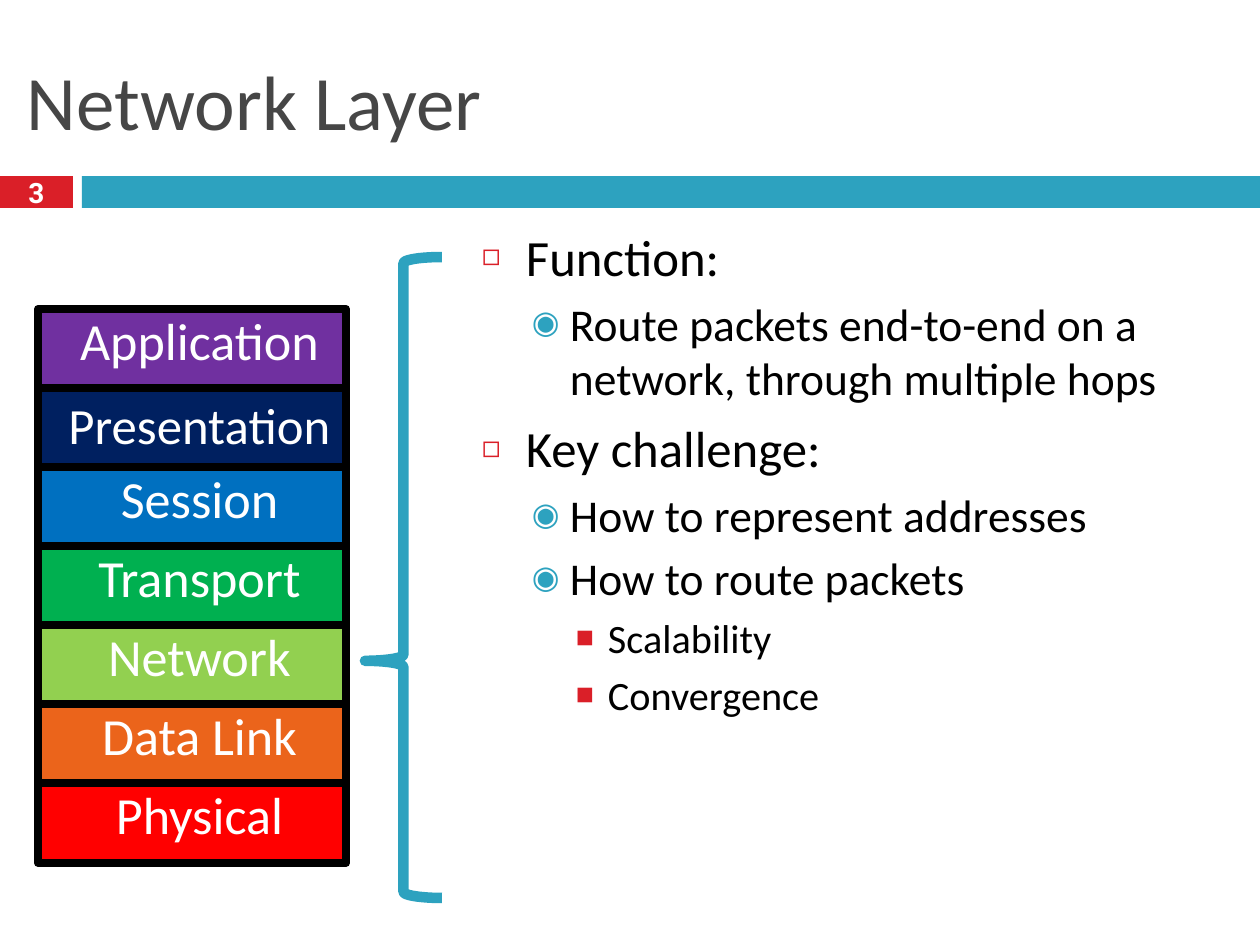
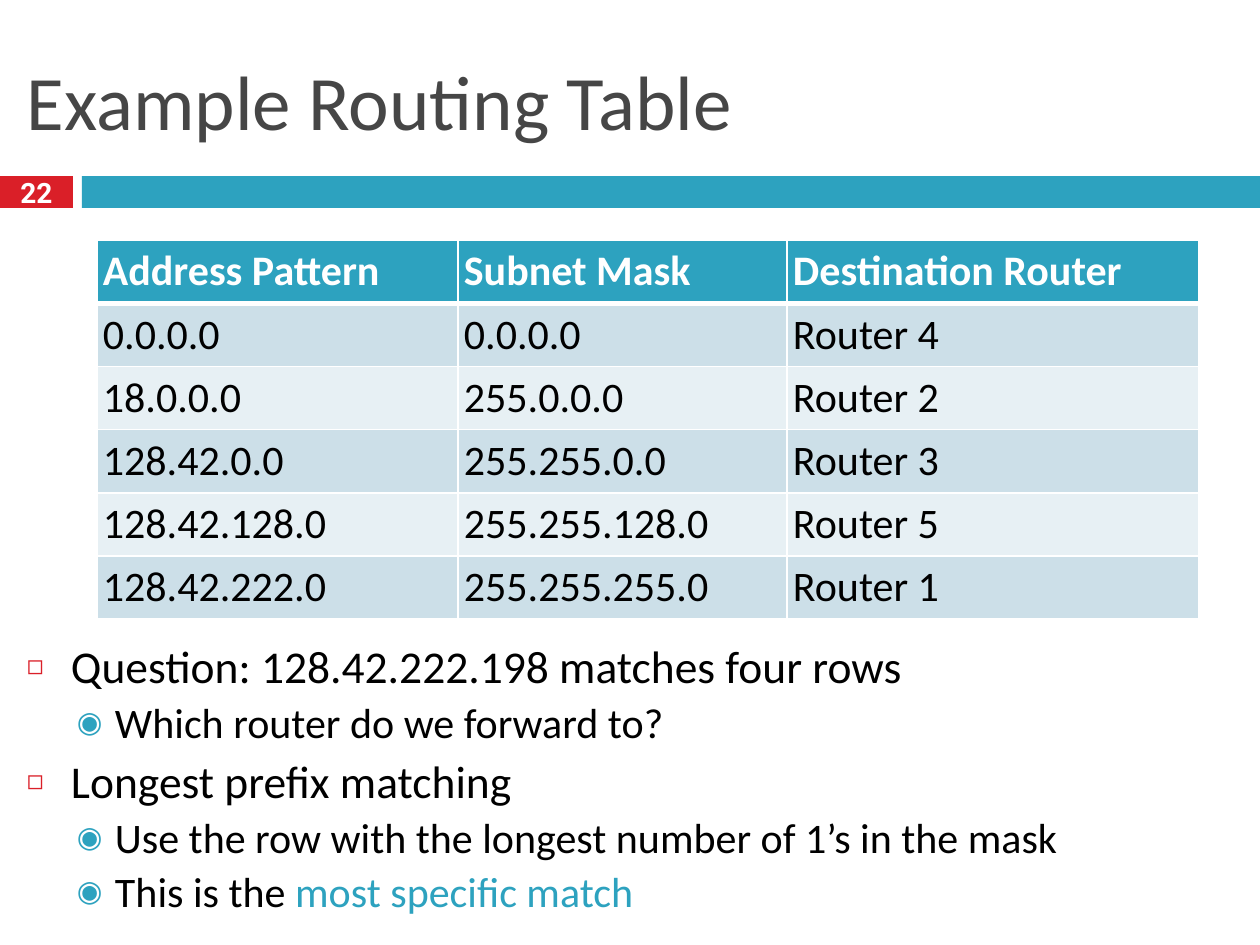
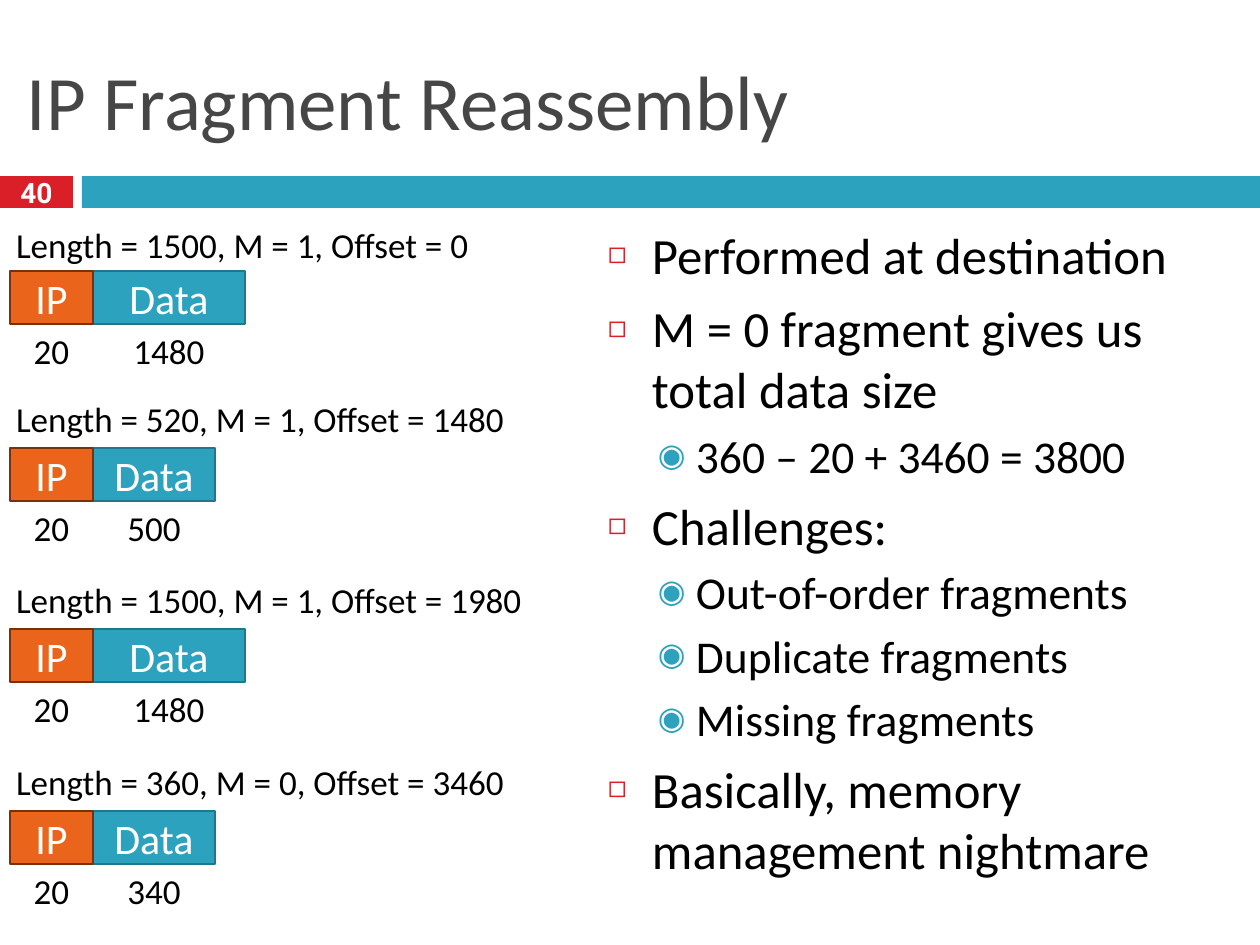
from dataclasses import dataclass

from lxml.etree import SubElement
from pptx import Presentation
from pptx.dml.color import RGBColor
from pptx.enum.shapes import MSO_SHAPE as SHAPE
from pptx.enum.text import MSO_ANCHOR as ANCHOR, MSO_AUTO_SIZE as AUTO, PP_ALIGN as ALIGN
from pptx.oxml.ns import qn
from pptx.util import Pt

PX = 7257


@dataclass(frozen=True)
class Theme:
    font: str = "Calibri"
    number_font: str = "Roboto"
    heading: str = "464646"
    text: str = "000000"
    light: str = "FFFFFF"
    teal: str = "2DA2BF"
    teal_edge: str = "21768B"
    red: str = "DA1F28"
    orange: str = "EB641B"
    orange_edge: str = "78310B"
    row_dark: str = "CCDFE8"
    row_light: str = "E7F0F4"
    title_size: int = 44
    number_size: int = 16
    list_sizes: tuple = (29, 26, 23)
    compact_sizes: tuple = (26, 24)
    layer_size: float = 29.8
    cell_size: int = 24
    caption_size: int = 20


theme = Theme()


def write(frame, text, *, size, color=theme.text, font=theme.font, bold=False,
          align=ALIGN.LEFT, anchor=ANCHOR.TOP, inset=6, indent=0, before=0, spacing=1.0):
    frame.word_wrap = True
    frame.auto_size = AUTO.NONE
    frame.vertical_anchor = anchor
    frame.margin_left = frame.margin_right = 6 * PX
    frame.margin_top = frame.margin_bottom = inset * PX
    paragraph = frame.paragraphs[-1]
    if paragraph.runs:
        paragraph = frame.add_paragraph()
    paragraph.alignment = align
    paragraph.space_before = Pt(before)
    paragraph.line_spacing = spacing
    if indent:
        paragraph._p.get_or_add_pPr().set("indent", str(indent * PX))
    for position, part in enumerate(text.split("*")):
        if part:
            run = paragraph.add_run()
            run.text = part
            run.font.size = Pt(size)
            run.font.name = font
            run.font.bold = bold
            run.font.color.rgb = RGBColor.from_string(theme.teal if position % 2 else color)
    return paragraph


def block(slide, at, fill=None, line=None, weight=0, preset=SHAPE.RECTANGLE):
    shape = slide.shapes.add_shape(preset, *(length * PX for length in at))
    shape.shadow.inherit = False
    if fill:
        shape.fill.solid()
        shape.fill.fore_color.rgb = RGBColor.from_string(fill)
    else:
        shape.fill.background()
    if line:
        shape.line.color.rgb = RGBColor.from_string(line)
        shape.line.width = Pt(weight)
    else:
        shape.line.fill.background()
    return shape


prs = Presentation()
prs.slide_width, prs.slide_height = 1260 * PX, 945 * PX
layout = prs.slide_layouts[1]

for holder in list(layout.placeholders):
    if holder.placeholder_format.idx >= 10:
        holder.element.getparent().remove(holder.element)
heading = layout.placeholders[0]
heading.left, heading.top, heading.width, heading.height = 21 * PX, 32 * PX, 1218 * PX, 136 * PX

bullet_styles = [
    ("◻", theme.red, 60, 44, 44, 7),
    ("◉", theme.teal, 70, 88, 38, 5),
    ("■", theme.red, 75, 126, 32, 5),
]

topics = [
    ("3", "Network Layer", (476, 220, 764, 703), theme.list_sizes, 1.0, [
        (0, "Function:"),
        (1, "Route packets end-to-end on a network, through multiple hops"),
        (0, "Key challenge:"),
        (1, "How to represent addresses"),
        (1, "How to route packets"),
        (2, "Scalability"),
        (2, "Convergence"),
    ]),
    ("22", "Example Routing Table", (21, 638, 1239, 307), theme.compact_sizes, 0.9, [
        (0, "Question: 128.42.222.198 matches four rows"),
        (1, "Which router do we forward to?"),
        (0, "Longest prefix matching"),
        (1, "Use the row with the longest number of 1’s in the mask"),
        (1, "This is the *most specific match*"),
    ]),
    ("40", "IP Fragment Reassembly", (602, 218, 638, 705), theme.list_sizes, 1.0, [
        (0, "Performed at destination"),
        (0, "M = 0 fragment gives us total data size"),
        (1, "360 – 20 + 3460 = 3800"),
        (0, "Challenges:"),
        (1, "Out-of-order fragments"),
        (1, "Duplicate fragments"),
        (1, "Missing fragments"),
        (0, "Basically, memory management nightmare"),
    ]),
]

slides = []
for number, title, area, sizes, spacing, points in topics:
    slide = prs.slides.add_slide(layout)
    if not slides:
        bands = [block(slide, (0, 176, 73, 32), theme.red),
                 block(slide, (82, 176, 1178, 32), theme.teal)]
        for band in bands:
            layout.shapes.element.insert(2, band.element)
    slides.append(slide)

    write(slide.shapes.title.text_frame, title, size=theme.title_size,
          color=theme.heading, anchor=ANCHOR.MIDDLE)
    page = slide.shapes.add_textbox(0, 173 * PX, 73 * PX, 44 * PX)
    write(page.text_frame, number, size=theme.number_size, color=theme.light,
          font=theme.number_font, bold=True, align=ALIGN.CENTER,
          anchor=ANCHOR.MIDDLE, spacing=0.8)

    body = slide.placeholders[1]
    body.left, body.top, body.width, body.height = (length * PX for length in area)
    for level, point in points:
        mark, mark_color, percent, margin, hanging, before = bullet_styles[level]
        paragraph = write(body.text_frame, point, size=sizes[level], indent=-hanging,
                          before=before, spacing=spacing)
        paragraph.level = level
        properties = paragraph._p.get_or_add_pPr()
        properties.set("marL", str(margin * PX))
        SubElement(SubElement(properties, qn("a:buClr")), qn("a:srgbClr"), val=mark_color)
        SubElement(properties, qn("a:buSzPct"), val=str(percent * 1000))
        SubElement(properties, qn("a:buChar"), char=mark)

stack_slide, routing_slide, fragment_slide = slides

layers = [
    ("Application", "7030A0"),
    ("Presentation", "002060"),
    ("Session", "0070C0"),
    ("Transport", "00B050"),
    ("Network", "92D050"),
    ("Data Link", theme.orange),
    ("Physical", "FF0000"),
]
for row, (name, color) in enumerate(layers):
    layer = block(stack_slide, (38, 309 + 79 * row, 308, 80), color, theme.text, 4.5)
    fit = {"size": 29, "before": 6} if name == "Presentation" else {
        "size": theme.layer_size, "before": 7, "spacing": 0.9}
    write(layer.text_frame, name, color=theme.light, align=ALIGN.CENTER, indent=15, **fit)

brace = block(stack_slide, (365, 257, 77, 641), line=theme.teal, weight=6,
              preset=SHAPE.LEFT_BRACE)
brace.adjustments[0], brace.adjustments[1] = 0.08, 0.63

routes = [
    ("Address Pattern", "Subnet Mask", "Destination Router"),
    ("0.0.0.0", "0.0.0.0", "Router 4"),
    ("18.0.0.0", "255.0.0.0", "Router 2"),
    ("128.42.0.0", "255.255.0.0", "Router 3"),
    ("128.42.128.0", "255.255.128.0", "Router 5"),
    ("128.42.222.0", "255.255.255.0", "Router 1"),
]
column_widths = (361, 329, 412)
routing = routing_slide.shapes.add_table(
    len(routes), len(column_widths), 97 * PX, 240 * PX,
    sum(column_widths) * PX, len(routes) * 51 * PX).table
for column, width in zip(routing.columns, column_widths):
    column.width = width * PX
for row, route in enumerate(routes):
    is_header = row == 0
    fill = theme.teal if is_header else theme.row_dark if row % 2 else theme.row_light
    for column, value in enumerate(route):
        cell = routing.cell(row, column)
        cell.margin_left = cell.margin_right = cell.margin_top = cell.margin_bottom = 6 * PX
        write(cell.text_frame, value, size=theme.cell_size, bold=is_header,
              color=theme.light if is_header else theme.text)
        borders = cell._tc.get_or_add_tcPr()
        for side in ("L", "R", "T", "B"):
            under_header = (row, side) in ((0, "B"), (1, "T"))
            edge = SubElement(borders, qn(f"a:ln{side}"), w=str(Pt(3 if under_header else 1)))
            SubElement(SubElement(edge, qn("a:solidFill")), qn("a:srgbClr"), val=theme.light)
        cell.fill.solid()
        cell.fill.fore_color.rgb = RGBColor.from_string(fill)

fragments = [
    (218, 271, 152, "Length = 1500, M = 1, Offset = 0", "1480"),
    (392, 448, 122, "Length = 520, M = 1, Offset = 1480", "500"),
    (573, 629, 152, "Length = 1500, M = 1, Offset = 1980", "1480"),
    (755, 811, 122, "Length = 360, M = 0, Offset = 3460", "340"),
]
for caption_top, top, data_width, fields, data_length in fragments:
    caption = fragment_slide.shapes.add_textbox(10 * PX, caption_top * PX, 560 * PX, 52 * PX)
    write(caption.text_frame, fields, size=theme.caption_size)
    parts = [
        ("Data", data_length, 93, data_width, theme.teal, theme.teal_edge),
        ("IP", "20", 10, 83, theme.orange, theme.orange_edge),
    ]
    for name, length, left, width, fill, edge in parts:
        part = block(fragment_slide, (left, top, width, 53), fill, edge, 1.5)
        write(part.text_frame, name, size=theme.cell_size, color=theme.light,
              align=ALIGN.CENTER, anchor=ANCHOR.MIDDLE, inset=0)
        byte_count = fragment_slide.shapes.add_textbox(
            left * PX, (top + 53) * PX, width * PX, 52 * PX)
        write(byte_count.text_frame, length, size=theme.caption_size, align=ALIGN.CENTER)

prs.save("out.pptx")
